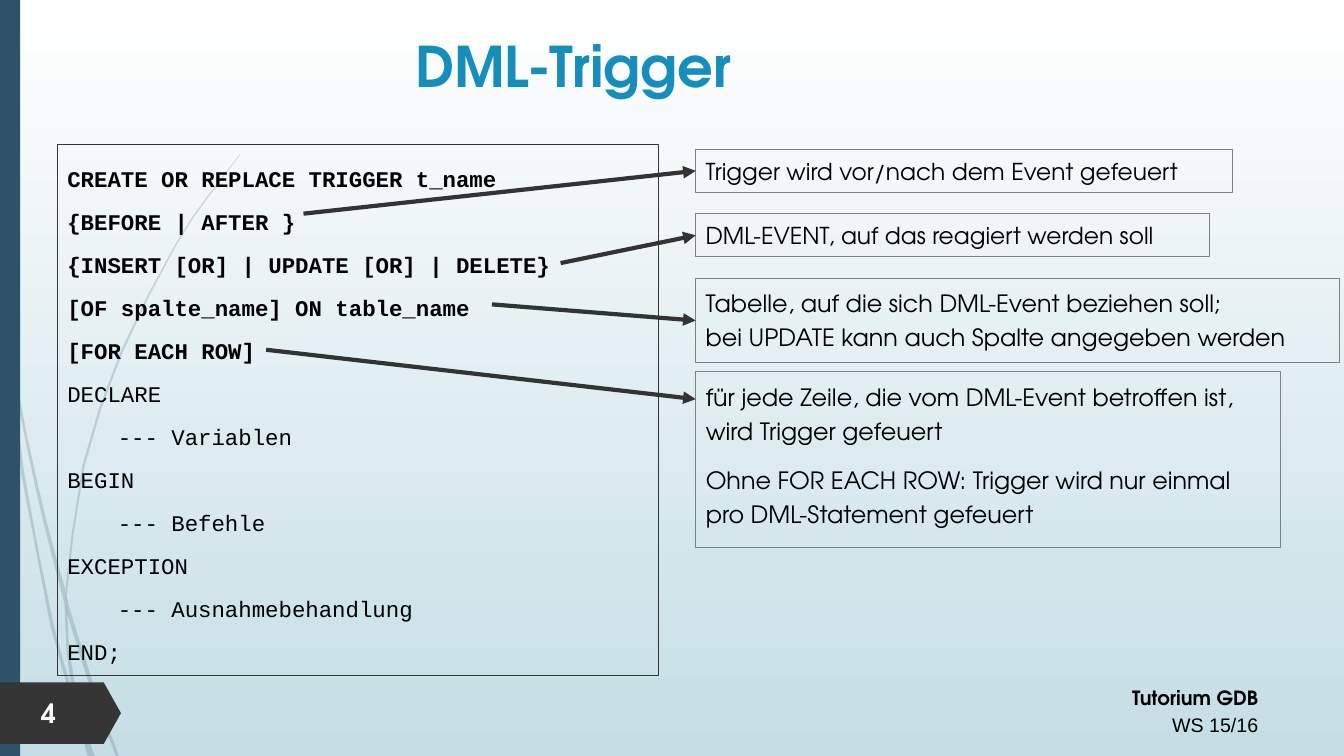
import pptx
import pptx.util
import pptx.dml.color
import pptx.enum.shapes
import pptx.enum.text
import pptx.oxml
import pptx.oxml.ns
from dataclasses import dataclass

Inches, Pt = pptx.util.Inches, pptx.util.Pt
Shapes = pptx.enum.shapes.MSO_SHAPE
Align = pptx.enum.text.PP_ALIGN
Anchor = pptx.enum.text.MSO_ANCHOR


@dataclass(frozen=True)
class Theme:
    display: str = "TeX Gyre Adventor"
    plain: str = "Arial"
    code: str = "Courier New"
    title_size: float = 40
    number_size: float = 19
    note_size: float = 17
    short_note_size: float = 16.65
    code_size: float = 16
    footer_size: float = 14
    title: str = "178DBB"
    text: str = "000000"
    white: str = "FFFFFF"
    sky: str = "C5DEE5"
    accent: str = "2E5369"
    dark: str = "353535"
    arrow: str = "333333"
    note_line: str = "808080"


THEME = Theme()

# Content
TITLE = "DML-Trigger"
PAGE_NUMBER = "4"
FOOTER = ["Tutorium GDB", "WS 15/16"]
CODE_HEAD = [
    "CREATE OR REPLACE TRIGGER t_name",
    "{BEFORE | AFTER }",
    "{INSERT [OR] | UPDATE [OR] | DELETE}",
    "[OF spalte_name] ON table_name",
    "[FOR EACH ROW]",
]
CODE_BODY = ["DECLARE", "--- Variablen", "BEGIN", "--- Befehle",
             "EXCEPTION", "--- Ausnahmebehandlung", "END;"]
# Short notes: lines, width, height, type size, line spacing, arrow start
NOTES = [
    (["Trigger wird vor/nach dem Event gefeuert"],
     5.32, 0.43, THEME.short_note_size, 1.1, (3.01, 2.12)),
    (["DML-EVENT, auf das reagiert werden soll"],
     5.1, 0.43, THEME.short_note_size, 1.1, (5.56, 2.61)),
    (["Tabelle, auf die sich DML-Event beziehen soll;",
      "bei UPDATE kann auch Spalte angegeben werden"],
     6.39, 0.84, THEME.note_size, 1.2, (4.88, 3.02)),
]
ROW_NOTE = [
    "für jede Zeile, die vom DML-Event betroffen ist, wird Trigger gefeuert",
    "Ohne FOR EACH ROW: Trigger wird nur einmal pro DML-Statement gefeuert",
]
ROW_ARROW = ((2.64, 3.47), (6.9, 3.96))

# Grass blades: knots of the outward edge and of the returning edge
BLADES = [
    ([(0.08, 3.5), (0.06, 3.22), (0, 2.82)], [(0, 2.99), (0.08, 3.44)]),
    ([(0.11, 3.45), (0.27, 4.33), (0.47, 5.2), (0.65, 5.86)],
     [(0.64, 5.99), (0.44, 5.22), (0.28, 4.5), (0.13, 3.76)]),
    ([(0.67, 5.96), (0.7, 6.07), (0.97, 6.92), (1.18, 7.5)],
     [(1.15, 7.5), (0.93, 6.94), (0.67, 6.1)]),
    ([(0.8, 7.11), (0.94, 7.5)], [(0.91, 7.5)]),
    ([(0.08, 3.5), (0.13, 3.76), (0.24, 4.69), (0.53, 6.19), (0.71, 6.83), (0.77, 7.14)],
     [(0.7, 6.93), (0.5, 6.21), (0.21, 4.7)]),
    ([(0.64, 5.99), (0.67, 6.1), (0.69, 6.46), (0.8, 7.11)],
     [(0.71, 6.83), (0.66, 6.46)]),
    ([(0.67, 5.96), (0.67, 5.84), (0.84, 4.62), (1.22, 3.49), (1.74, 2.45),
      (2.05, 1.98), (2.38, 1.54)],
     [(2.38, 1.53), (2.04, 1.97), (1.73, 2.44), (1.2, 3.48), (0.82, 4.61), (0.65, 5.84)]),
    ([(0.77, 7.14), (0.87, 7.5)], [(0.9, 7.5)]),
    ([(0.67, 5.96), (0.67, 6.1)], [(0.64, 5.99), (0.65, 5.86)]),
    ([(0.71, 6.83), (0.8, 7.11), (0.91, 7.5)], [(0.9, 7.5), (0.77, 7.14)]),
]

# Layout in inches
WIDTH, HEIGHT = 13.33, 7.5
NOTE_LEFT, NOTE_TOP, NOTE_PITCH = 6.9, 1.48, 0.64
CODE_INDENT = 0.5


def rgb(value):
    return pptx.dml.color.RGBColor.from_string(value)


def place(shape, left, top, width, height):
    shape.left, shape.top = Inches(left), Inches(top)
    shape.width, shape.height = Inches(width), Inches(height)


def paint(shape, fill=None, line=None):
    if fill:
        shape.fill.solid()
        shape.fill.fore_color.rgb = rgb(fill)
    else:
        shape.fill.background()
    if line:
        shape.line.color.rgb = rgb(line)
        shape.line.width = Pt(0.75)
    else:
        shape.line.fill.background()


def add_shape(slide, kind, box, fill=None, line=None):
    shape = slide.shapes.add_shape(kind, *map(Inches, box))
    shape.shadow.inherit = False
    paint(shape, fill, line)
    return shape


def write(shape, lines, size, color=THEME.text, font=THEME.display, bold=False,
          align=Align.LEFT, spacing=1.0, before=0, anchor=Anchor.TOP):
    frame = shape.text_frame
    frame.text = "\n".join(lines)
    frame.word_wrap = True
    frame.auto_size = pptx.enum.text.MSO_AUTO_SIZE.NONE
    frame.vertical_anchor = anchor
    for paragraph in frame.paragraphs:
        paragraph.alignment = align
        paragraph.line_spacing = spacing
        paragraph.space_before = Pt(before)
        for run in paragraph.runs:
            run.font.name, run.font.size = font, Pt(size)
            run.font.bold, run.font.color.rgb = bold, rgb(color)
    return frame.paragraphs


def smooth(knots):
    """Knots plus the Catmull-Rom midpoint of each inner span."""
    if len(knots) < 4:
        return knots
    padded = [knots[0], *knots, knots[-1]]
    points = [knots[0]]
    for a, b, c, d in zip(padded, padded[1:], padded[2:], padded[3:]):
        middle = tuple((9 * (q + r) - p - s) / 16 for p, q, r, s in zip(a, b, c, d))
        points += [middle, c]
    return points


def add_blade(slide, outward, returning):
    points = [(Inches(x), Inches(y)) for x, y in smooth(outward) + smooth(returning)]
    builder = slide.shapes.build_freeform(*points[0])
    builder.add_line_segments(points[1:], close=True)
    blade = builder.convert_to_shape()
    blade.shadow.inherit = False
    paint(blade, THEME.accent)
    color = blade.fill._xPr.find(".//" + pptx.oxml.ns.qn("a:srgbClr"))
    color.append(pptx.oxml.parse_xml(
        f'<a:alpha {pptx.oxml.ns.nsdecls("a")} val="20000"/>'))


def add_arrow(slide, start, end, target=None):
    arrow = slide.shapes.add_connector(
        pptx.enum.shapes.MSO_CONNECTOR.STRAIGHT, *map(Inches, (*start, *end)))
    arrow.line.color.rgb = rgb(THEME.arrow)
    arrow.line.width = Pt(3)
    namespace = pptx.oxml.ns.nsdecls("a")
    arrow.line._get_or_add_ln().append(
        pptx.oxml.parse_xml(f'<a:tailEnd {namespace} type="triangle"/>'))
    arrow._element.spPr.append(pptx.oxml.parse_xml(f"<a:effectLst {namespace}/>"))
    if target is not None:
        arrow.end_connect(target, 1)


def main():
    presentation = pptx.Presentation()
    presentation.slide_width, presentation.slide_height = Inches(WIDTH), Inches(HEIGHT)
    slide = presentation.slides.add_slide(presentation.slide_layouts[1])

    # Background and decoration
    background = slide.background.fill
    background.gradient()
    background.gradient_angle = 270
    for stop, position, color in zip(background.gradient_stops, (0, 1), (THEME.white, THEME.sky)):
        stop.position, stop.color.rgb = position, rgb(color)
    for outward, returning in BLADES:
        add_blade(slide, outward, returning)
    add_shape(slide, Shapes.RECTANGLE, (0, 0, 0.2, HEIGHT), THEME.accent)

    # Footer and page number
    footer = slide.shapes.add_textbox(*map(Inches, (7.38, 6.72, 5.2, 0.64)))
    term = write(footer, FOOTER, THEME.footer_size, align=Align.RIGHT, spacing=1.14)
    term[0].runs[0].font.bold = True
    term[1].runs[0].font.name = THEME.plain
    badge = add_shape(slide, Shapes.PENTAGON, (0, 6.77, 1.2, 0.61), THEME.dark)
    badge.adjustments[0] = 0.28
    number = slide.shapes.add_textbox(*map(Inches, (0.31, 6.86, 0.7, 0.42)))
    write(number, [PAGE_NUMBER], THEME.number_size, THEME.white, bold=True, anchor=Anchor.MIDDLE)

    # Title and note on FOR EACH ROW
    title, row_note = slide.placeholders
    place(title, 1.2, 0.26, 8.97, 0.81)
    write(title, [TITLE], THEME.title_size, THEME.title, bold=True, align=Align.CENTER)
    place(row_note, NOTE_LEFT, 3.69, 5.8, 1.74)
    paint(row_note, line=THEME.note_line)
    for paragraph in write(row_note, ROW_NOTE, THEME.note_size, spacing=1.2, before=10):
        properties = paragraph._p.get_or_add_pPr()
        properties.set("marL", "0")
        properties.set("indent", "0")
        properties.append(pptx.oxml.parse_xml(f'<a:buNone {pptx.oxml.ns.nsdecls("a")}/>'))

    # Trigger syntax
    code = add_shape(slide, Shapes.RECTANGLE, (0.57, 1.43, 5.96, 5.27), line=THEME.dark)
    lines = write(code, CODE_HEAD + CODE_BODY, THEME.code_size, font=THEME.code, spacing=1.6)
    for index, paragraph in enumerate(lines):
        paragraph.runs[0].font.bold = index < len(CODE_HEAD)
        if paragraph.text.startswith("---"):
            paragraph._p.get_or_add_pPr().set("marL", str(Inches(CODE_INDENT)))

    # Short notes with their arrows
    for row, (text, width, height, size, spacing, start) in enumerate(NOTES):
        top = NOTE_TOP + row * NOTE_PITCH
        note = add_shape(slide, Shapes.RECTANGLE, (NOTE_LEFT, top, width, height),
                         line=THEME.note_line)
        write(note, text, size, spacing=spacing)
        add_arrow(slide, start, (NOTE_LEFT, top + height / 2), note)
    add_arrow(slide, *ROW_ARROW)

    presentation.save("out.pptx")


if __name__ == "__main__":
    main()
